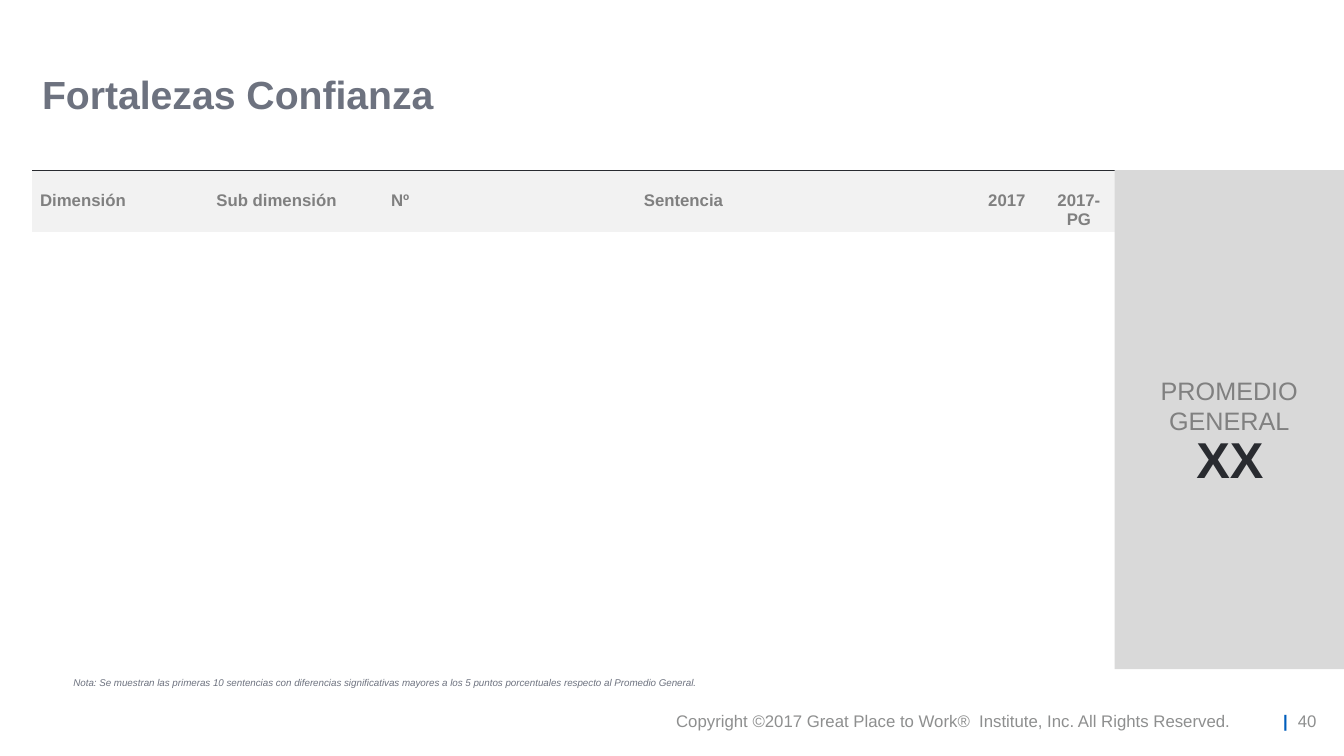
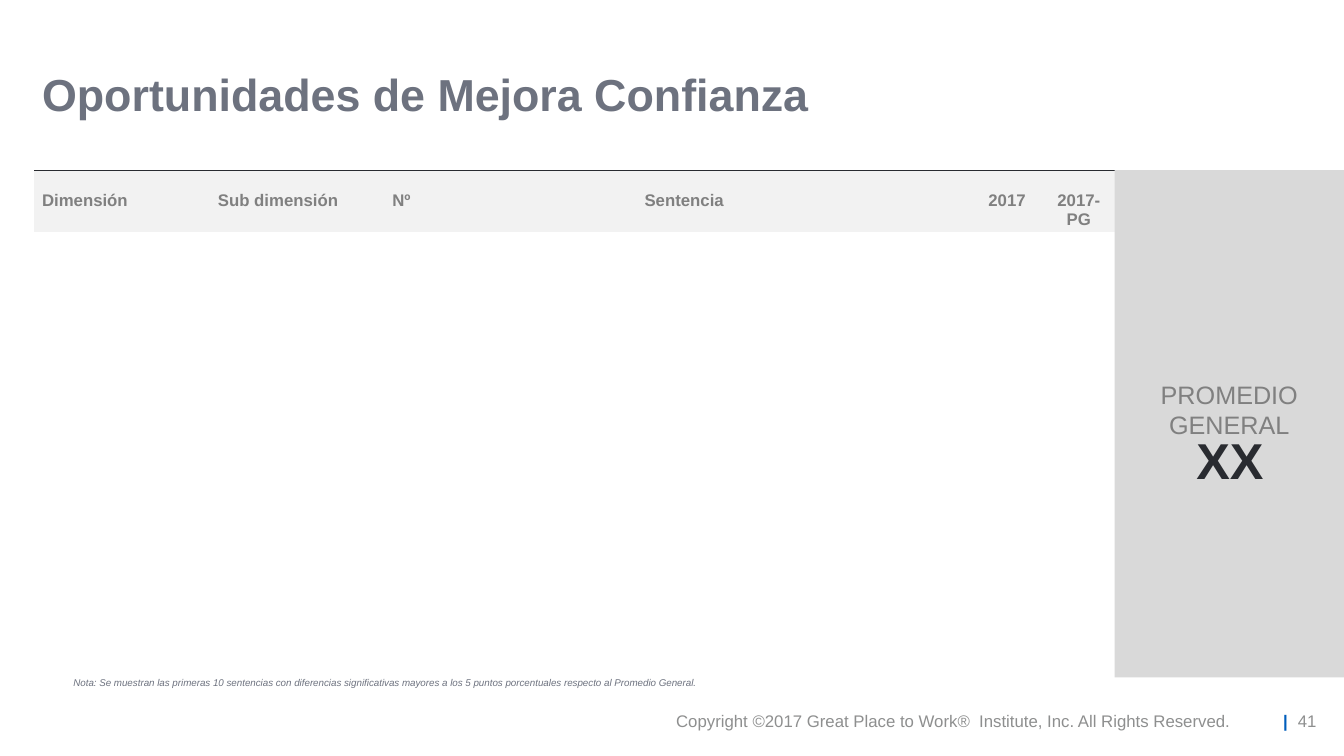
import lxml.etree
import pptx
import pptx.dml.color
import pptx.enum.shapes
import pptx.enum.text
import pptx.oxml.ns
import pptx.util

Cm = pptx.util.Cm
Pt = pptx.util.Pt
RGBColor = pptx.dml.color.RGBColor
ALIGN = pptx.enum.text.PP_ALIGN
ANCHOR = pptx.enum.text.MSO_ANCHOR
qn = pptx.oxml.ns.qn

SLATE = RGBColor(0x6D, 0x72, 0x7F)
INK = RGBColor(0x29, 0x2B, 0x30)
GREY = RGBColor(0x80, 0x80, 0x80)
FOOTER_GREY = RGBColor(0x8E, 0x8F, 0x8F)
BLUE = RGBColor(0x00, 0x5E, 0xBC)
HEADER_FILL = RGBColor(0xF2, 0xF2, 0xF2)
PANEL_FILL = RGBColor(0xD9, 0xD9, 0xD9)

SLIDE_WIDTH, SLIDE_HEIGHT = 33.87, 19.05
CONTENT_TOP = 4.29
PANEL_LEFT = 28.09
HEADER_HEIGHT = 1.55
CELL_INSET = 0.2

# Heading, column width, alignment, extra left inset, top inset
COLUMNS = [
    ("Dimensión", 4.24, ALIGN.LEFT, 0, 0),
    ("Sub dimensión", 3.84, ALIGN.CENTER, 0, 0),
    ("Nº", 2.39, ALIGN.CENTER, 0, 0),
    ("Sentencia", 11.89, ALIGN.CENTER, 0, 0),
    ("2017", 3.12, ALIGN.CENTER, 1.29, 0),
    ("2017-PG", 1.8, ALIGN.CENTER, 0, 0.48),
]
NOTE = ("Nota: Se muestran las primeras 10 sentencias con diferencias significativas "
        "mayores a los 5 puntos porcentuales respecto al Promedio General.")
COPYRIGHT = "Copyright ©2017 Great Place to Work®  Institute, Inc. All Rights Reserved."


class Report:
    font = "Arial"

    def __init__(self):
        self.deck = pptx.Presentation()
        self.deck.slide_width = Cm(SLIDE_WIDTH)
        self.deck.slide_height = Cm(SLIDE_HEIGHT)
        self.slide = None

    def new_slide(self):
        self.slide = self.deck.slides.add_slide(self.deck.slide_layouts[6])

    def run(self, paragraph, text, size, color, bold=False, italic=False):
        run = paragraph.add_run()
        run.text = text
        run.font.name = self.font
        run.font.size = Pt(size)
        run.font.bold = bold
        run.font.italic = italic
        run.font.color.rgb = color

    def text_box(self, left, top, width, height, anchor=ANCHOR.MIDDLE):
        """Add an empty wrapping box and return its text frame."""
        box = self.slide.shapes.add_textbox(Cm(left), Cm(top), Cm(width), Cm(height))
        frame = box.text_frame
        frame.word_wrap = True
        frame.vertical_anchor = anchor
        return frame

    def title(self, text, size):
        paragraph = self.text_box(0.81, 1.55, 32.61, 1.8).paragraphs[0]
        paragraph.line_spacing = 0.9
        self.run(paragraph, text, size, SLATE, bold=True)

    def cell_borders(self, cell):
        """Draw only the top border of a cell."""
        properties = cell._tc.get_or_add_tcPr()
        for side in ("lnL", "lnR", "lnT", "lnB"):
            line = lxml.etree.SubElement(properties, qn("a:" + side))
            if side == "lnT":
                line.set("w", str(Pt(1)))
                fill = lxml.etree.SubElement(line, qn("a:solidFill"))
                lxml.etree.SubElement(fill, qn("a:srgbClr"), val=str(INK))
            else:
                lxml.etree.SubElement(line, qn("a:noFill"))

    def header_table(self, left):
        """Fit the heading row between left and the side panel."""
        width = PANEL_LEFT - left
        scale = width / sum(column[1] for column in COLUMNS)
        table = self.slide.shapes.add_table(
            1, len(COLUMNS), Cm(left), Cm(CONTENT_TOP), Cm(width), Cm(HEADER_HEIGHT)).table
        table.first_row = table.horz_banding = False
        for index, (heading, column_width, align, indent, drop) in enumerate(COLUMNS):
            table.columns[index].width = Cm(column_width * scale)
            cell = table.cell(0, index)
            self.cell_borders(cell)
            cell.fill.solid()
            cell.fill.fore_color.rgb = HEADER_FILL
            cell.vertical_anchor = ANCHOR.MIDDLE
            cell.margin_left = Cm(CELL_INSET + indent)
            cell.margin_right = Cm(CELL_INSET)
            cell.margin_top = Cm(drop)
            cell.margin_bottom = 0
            paragraph = cell.text_frame.paragraphs[0]
            paragraph.alignment = align
            self.run(paragraph, heading, 12, GREY, bold=True)

    def average_panel(self, height, score_top):
        panel = self.slide.shapes.add_shape(
            pptx.enum.shapes.MSO_SHAPE.RECTANGLE, Cm(PANEL_LEFT), Cm(CONTENT_TOP),
            Cm(SLIDE_WIDTH - PANEL_LEFT), Cm(height))
        panel.shadow.inherit = False
        panel.fill.solid()
        panel.fill.fore_color.rgb = PANEL_FILL
        panel.line.fill.background()
        frame = panel.text_frame
        frame.word_wrap = True
        frame.vertical_anchor = ANCHOR.MIDDLE
        frame.margin_bottom = Cm(0.86)
        label = frame.paragraphs[0]
        label.alignment = ALIGN.CENTER
        self.run(label, "PROMEDIO GENERAL", 18, GREY)
        score = self.text_box(29.9, score_top, 2.36, 1.8, ANCHOR.TOP).paragraphs[0]
        self.run(score, "XX", 36, INK, bold=True)

    def note(self):
        paragraph = self.text_box(1.6, 16.94, 16.51, 0.53, ANCHOR.TOP).paragraphs[0]
        paragraph.line_spacing = 0.95
        self.run(paragraph, NOTE, 7, SLATE, italic=True)

    def footer(self, page):
        top, height = 17.65, 1.02
        copyright_line = self.text_box(16.56, top, 14.71, height).paragraphs[0]
        copyright_line.alignment = ALIGN.RIGHT
        self.run(copyright_line, COPYRIGHT, 12, FOOTER_GREY)
        frame = self.text_box(31.27, top, 2.16, height)
        frame.margin_left = Cm(1.07)
        frame.margin_right = 0
        page_line = frame.paragraphs[0]
        tabs = lxml.etree.SubElement(page_line._p.get_or_add_pPr(), qn("a:tabLst"))
        lxml.etree.SubElement(tabs, qn("a:tab"), pos=str(Cm(0.37)), algn="l")
        self.run(page_line, "|\t", 12, BLUE, bold=True)
        self.run(page_line, str(page), 12, FOOTER_GREY)


def main():
    report = Report()
    # Title, title size, table left, panel height, score top, page
    pages = [
        ("Fortalezas Confianza", 28, 0.81, 12.57, 10.67, 40),
        ("Oportunidades de Mejora Confianza", 32, 0.86, 12.78, 10.69, 41),
    ]
    for title, size, table_left, panel_height, score_top, page in pages:
        report.new_slide()
        report.header_table(table_left)
        report.title(title, size)
        report.average_panel(panel_height, score_top)
        report.note()
        report.footer(page)
    report.deck.save("out.pptx")


if __name__ == "__main__":
    main()
